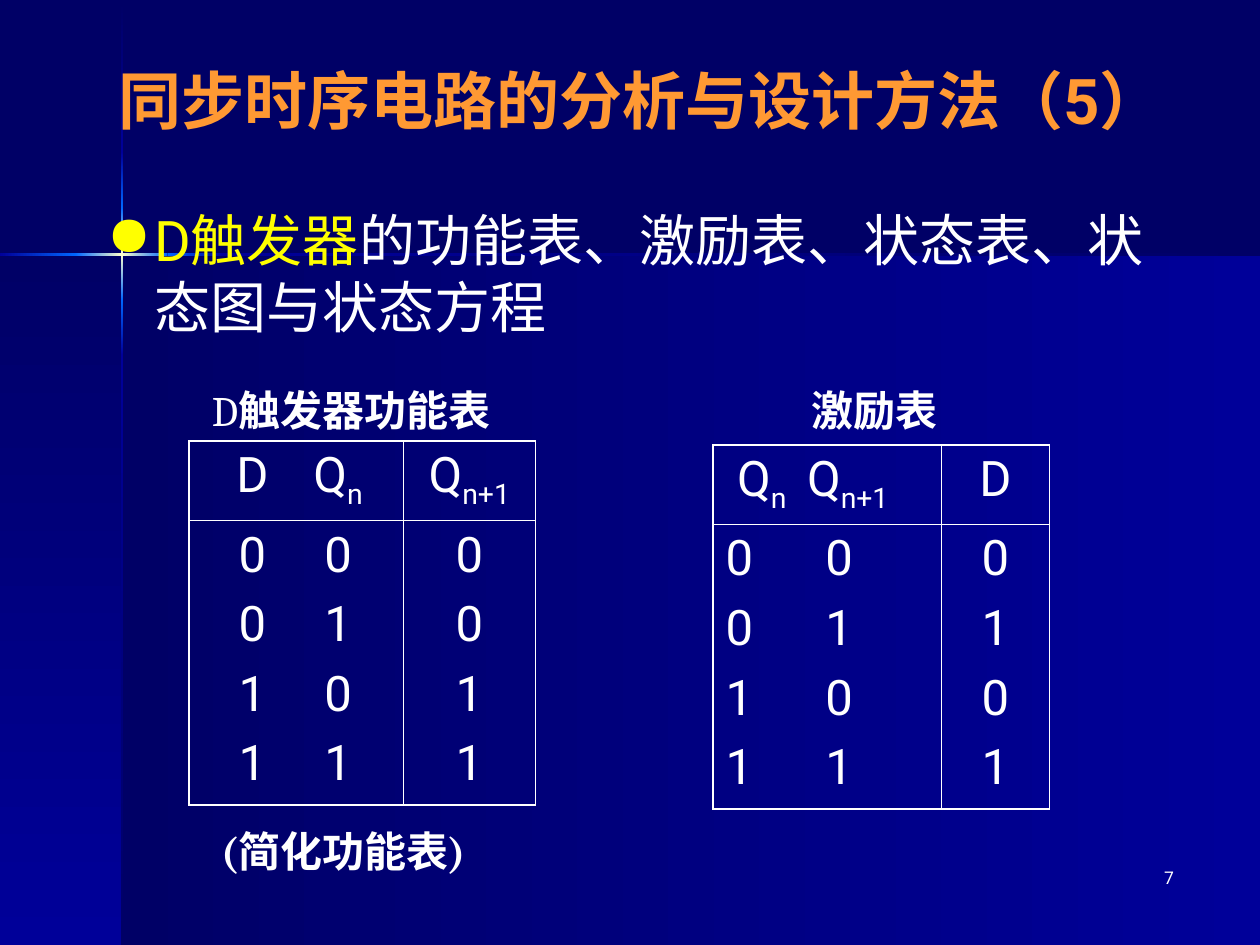
"""Build a slide with the function and excitation tables of the D flip-flop."""

from dataclasses import dataclass
from typing import Optional

import pptx
import pptx.dml.color
import pptx.enum.shapes
import pptx.enum.text
import pptx.oxml.ns
import pptx.oxml.xmlchemy
import pptx.slide
import pptx.util
from lxml import etree

Pt = pptx.util.Pt
Align = pptx.enum.text.PP_ALIGN
Anchor = pptx.enum.text.MSO_ANCHOR
qn = pptx.oxml.ns.qn


@dataclass(frozen=True)
class Theme:
    navy: str = "000066"
    blue: str = "000099"
    bright: str = "0066FF"
    cream: str = "FFFFCC"
    white: str = "FFFFFF"
    yellow: str = "FFFF00"
    orange: str = "FF9933"
    sans: str = "Roboto"
    serif: str = "Cambria"
    title: float = 36
    body: float = 32
    cell: float = 28
    caption: float = 24
    number: float = 10
    row_gap: float = 7
    outer_line: float = 1.08
    inner_line: float = 0.45


THEME = Theme()


@dataclass(frozen=True)
class Span:
    text: str
    size: float = THEME.cell
    color: str = THEME.white
    font: str = THEME.sans
    bold: bool = False
    subscript: bool = False


@dataclass(frozen=True)
class Band:
    left: float
    top: float
    width: float
    height: float
    colors: tuple[str, ...]
    angle: int


@dataclass(frozen=True)
class Label:
    left: float
    top: float
    width: float
    height: float
    spans: tuple[Span, ...]
    align: Align = Align.LEFT
    anchor: Anchor = Anchor.TOP
    bullet: Optional[str] = None


@dataclass(frozen=True)
class Stops:
    align: str
    positions: tuple[float, ...]


@dataclass(frozen=True)
class CellText:
    lines: tuple[tuple[Span, ...], ...]
    stops: Optional[Stops] = None


@dataclass(frozen=True)
class TruthTable:
    left: float
    top: float
    columns: tuple[float, float]
    cells: tuple[tuple[CellText, CellText], tuple[CellText, CellText]]


def rgb(color: str) -> pptx.dml.color.RGBColor:
    """Turn a hex string into a colour."""
    return pptx.dml.color.RGBColor.from_string(color)


def sub(text: str) -> Span:
    """Make a subscript span."""
    return Span(text, subscript=True)


def values(*texts: str, stops: Optional[Stops] = None) -> CellText:
    """Make a cell with one plain line per text."""
    return CellText(tuple((Span(text),) for text in texts), stops)


def caption(text: str, bold: bool = True) -> Span:
    """Make a span of a table caption."""
    return Span(text, THEME.caption, font=THEME.serif, bold=bold)


def add_spans(para, spans: tuple[Span, ...]) -> None:
    """Add the spans to a paragraph run by run."""
    for span in spans:
        run = para.add_run()
        run.text = span.text
        run.font.size = Pt(span.size)
        run.font.name = span.font
        run.font.bold = span.bold
        run.font.color.rgb = rgb(span.color)
        if span.subscript:
            run.font._element.set("baseline", "-25000")


def draw_band(page: pptx.slide.Slide, band: Band) -> None:
    """Draw a rectangle with evenly spaced gradient stops."""
    box = page.shapes.add_shape(
        pptx.enum.shapes.MSO_SHAPE.RECTANGLE,
        Pt(band.left), Pt(band.top), Pt(band.width), Pt(band.height))
    box.shadow.inherit = False
    box.line.fill.background()
    box.fill.gradient()
    box.fill.gradient_angle = -band.angle % 360
    stop_list = box._element.spPr.find(qn("a:gradFill")).find(qn("a:gsLst"))
    for stop in list(stop_list):
        stop_list.remove(stop)
    for index, color in enumerate(band.colors):
        position = 100000 * index // (len(band.colors) - 1)
        stop = etree.SubElement(stop_list, qn("a:gs"), pos=str(position))
        etree.SubElement(stop, qn("a:srgbClr"), val=color)


def draw_label(page: pptx.slide.Slide, label: Label) -> None:
    """Draw a wrapped text box of one paragraph."""
    box = page.shapes.add_textbox(
        Pt(label.left), Pt(label.top), Pt(label.width), Pt(label.height))
    box.text_frame.word_wrap = True
    box.text_frame.vertical_anchor = label.anchor
    para = box.text_frame.paragraphs[0]
    para.alignment = label.align
    if label.bullet:
        properties = para._p.get_or_add_pPr()
        properties.set("marL", str(Pt(27)))
        properties.set("indent", str(-Pt(27)))
        bullet_color = etree.SubElement(properties, qn("a:buClr"))
        etree.SubElement(bullet_color, qn("a:srgbClr"), val=THEME.yellow)
        etree.SubElement(properties, qn("a:buChar"), char=label.bullet)
    add_spans(para, label.spans)


def fill_cell(cell, content: CellText) -> None:
    """Write the lines of a cell, centred or on tab stops."""
    frame = cell.text_frame
    for index, spans in enumerate(content.lines):
        para = frame.add_paragraph() if index else frame.paragraphs[0]
        if content.stops:
            tab_list = etree.SubElement(para._p.get_or_add_pPr(), qn("a:tabLst"))
            for position in content.stops.positions:
                etree.SubElement(tab_list, qn("a:tab"), pos=str(Pt(position)), algn=content.stops.align)
        para.alignment = Align.LEFT if content.stops else Align.CENTER
        if index:
            para.space_before = Pt(THEME.row_gap)
        add_spans(para, spans)


def draw_borders(cell, row: int, column: int) -> None:
    """Draw thick lines outside and thin lines inside a two by two table."""
    outer = {"L": column == 0, "R": column == 1, "T": row == 0, "B": row == 1}
    properties = cell._tc.get_or_add_tcPr()
    for index, (side, is_outer) in enumerate(outer.items()):
        width = THEME.outer_line if is_outer else THEME.inner_line
        line = etree.Element(qn(f"a:ln{side}"), w=str(Pt(width)))
        solid = etree.SubElement(line, qn("a:solidFill"))
        etree.SubElement(solid, qn("a:srgbClr"), val=THEME.white)
        properties.insert(index, line)


def draw_table(page: pptx.slide.Slide, truth: TruthTable) -> None:
    """Draw a table with a header row and a row of values."""
    heights = (45.4, 162.7)
    table = page.shapes.add_table(
        2, 2, Pt(truth.left), Pt(truth.top), Pt(sum(truth.columns)), Pt(sum(heights))).table
    table.first_row = table.horz_banding = False
    for index in range(2):
        table.columns[index].width = Pt(truth.columns[index])
        table.rows[index].height = Pt(heights[index])
    for row, contents in enumerate(truth.cells):
        for column, content in enumerate(contents):
            cell = table.cell(row, column)
            cell.fill.background()
            fill_cell(cell, content)
            draw_borders(cell, row, column)


def main() -> None:
    """Build and save the deck."""
    deck = pptx.Presentation()
    deck.slide_width, deck.slide_height = Pt(720), Pt(540)
    page = deck.slides.add_slide(deck.slide_layouts[6])
    page.background.fill.solid()
    page.background.fill.fore_color.rgb = rgb(THEME.navy)

    rise, fall = (THEME.navy, THEME.blue), (THEME.blue, THEME.navy)
    glow, fade = (THEME.blue, THEME.bright), (THEME.bright, THEME.blue)
    flare = (THEME.bright, THEME.cream, THEME.bright)
    upright = ((0.7, 87, rise), (203, 540, fall), (171.4, 203, fade), (87, 118.8, glow), (118.8, 171.4, flare))
    level = ((127.4, 720, fall), (0, 43.9, glow), (95.8, 127.4, fade), (43.2, 95.8, flare))
    bands = [Band(69.8, 145.4, 650.2, 394.6, rise, 0), Band(0, 145.4, 69.8, 394.6, rise, 90)]
    bands += [Band(69.1, start, 1.4, end - start, colors, 90) for start, end, colors in upright]
    bands += [Band(start, 144.7, end - start, 1.4, colors, 0) for start, end, colors in level]
    for band in bands:
        draw_band(page, band)

    centred = Stops("ctr", (29, 78))
    function_table = TruthTable(108, 252, (122.4, 75.6), (
        (CellText(((Span("\tD\tQ"), sub("n")),), centred), CellText(((Span("Q"), sub("n+1")),))),
        (values("\t0\t0", "\t0\t1", "\t1\t0", "\t1\t1", stops=centred), values("0", "0", "1", "1"))))
    excitation_table = TruthTable(407.5, 254.2, (130.3, 62), (
        (CellText(((Span("\tQ"), sub("n"), Span("\tQ"), sub("n+1")),), Stops("l", (6.5, 46.5))), values("D")),
        (values("0\t0", "0\t1", "1\t0", "1\t1", stops=Stops("l", (57,))), values("0", "1", "0", "1"))))
    for truth in (function_table, excitation_table):
        draw_table(page, truth)

    title = Span("同步时序电路的分析与设计方法（5）", THEME.title, THEME.orange, bold=True)
    topic = (Span("D触发器", THEME.body, THEME.yellow),
             Span("的功能表、激励表、状态表、状态图与状态方程", THEME.body))
    labels = (
        Label(528, 491.8, 149.8, 36, (Span("7", THEME.number),), Align.RIGHT),
        Label(24, 24, 684, 66, (title,), Align.CENTER, Anchor.MIDDLE),
        Label(54, 114, 624, 366, topic, bullet="●"),
        Label(114, 216, 186, 36, (caption("D", False), caption("触发器功能表"))),
        Label(114, 468, 164, 65, (caption(" (简化功能表)"),)),
        Label(456.5, 216, 107, 36, (caption("激励表"),)))
    for label in labels:
        draw_label(page, label)
    deck.save("out.pptx")


if __name__ == "__main__":
    main()
